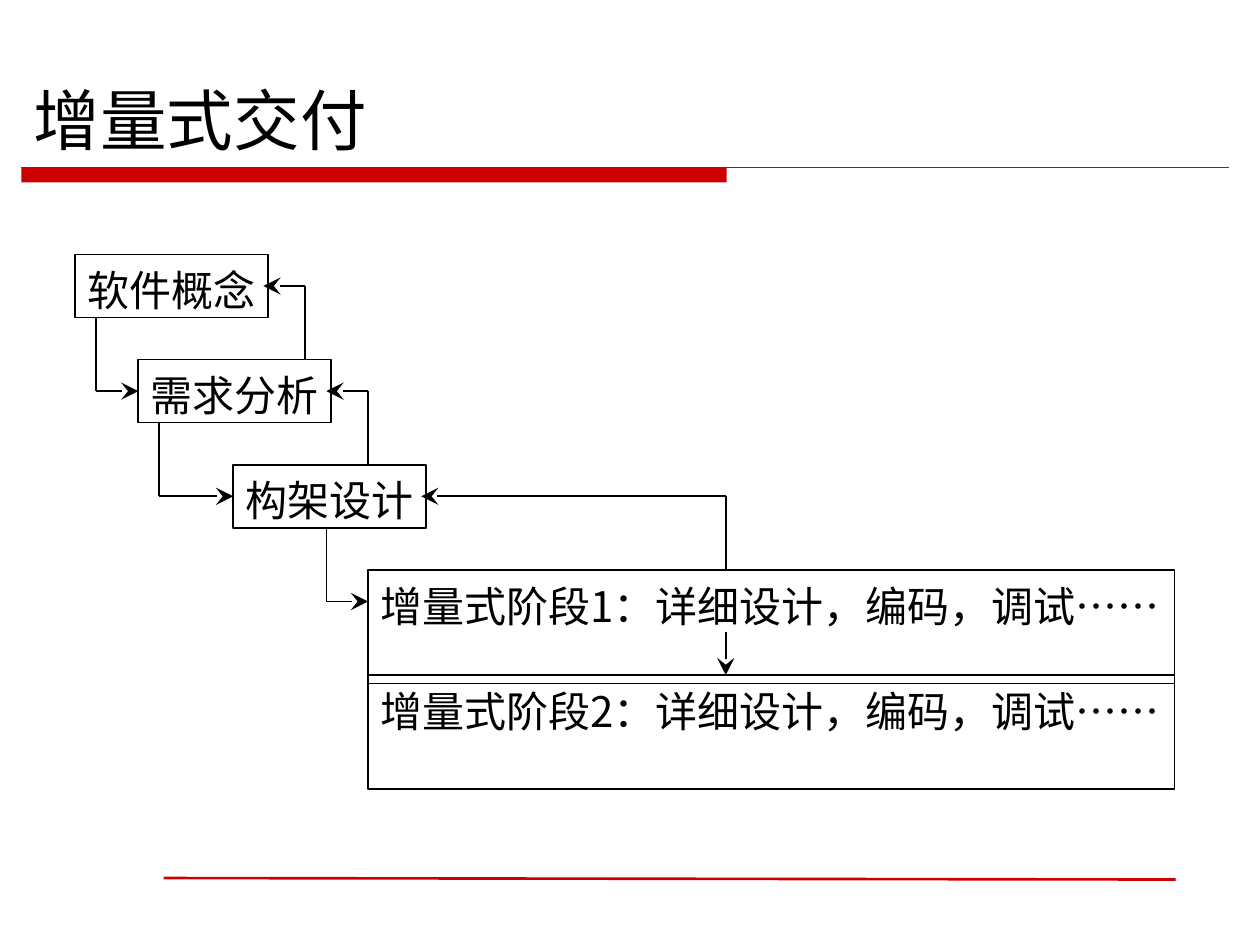
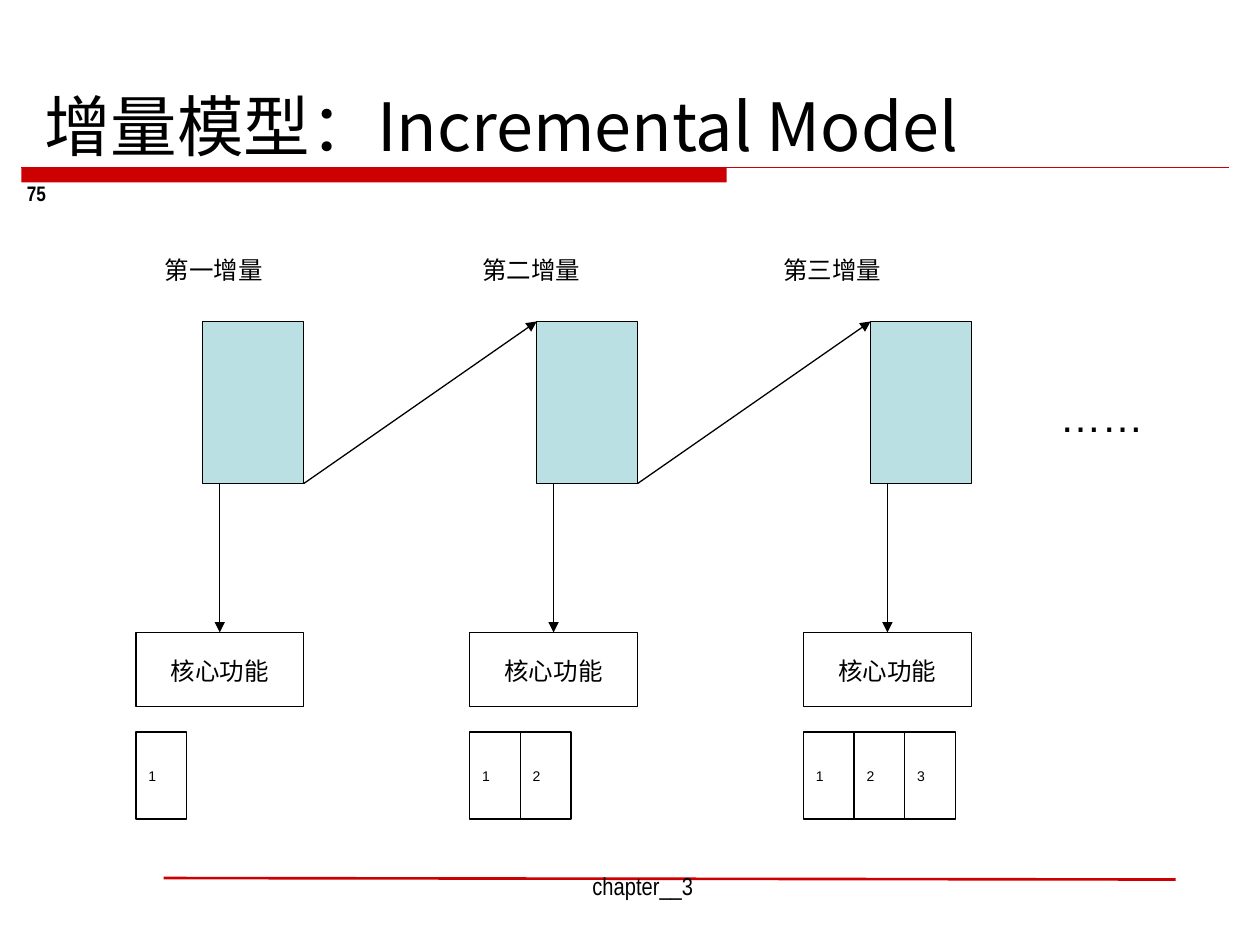
"""Builds two slides on incremental delivery and the incremental model."""
from itertools import pairwise

from lxml.etree import SubElement
from pptx import Presentation
from pptx.dml.color import RGBColor
from pptx.enum.shapes import MSO_CONNECTOR, MSO_SHAPE
from pptx.enum.text import MSO_ANCHOR, MSO_AUTO_SIZE, PP_ALIGN
from pptx.oxml.ns import qn
from pptx.util import Cm, Pt

COLOR = {"red": "CC0000", "ink": "000000", "aqua": "BBE0E3"}
PITCH = 1.3
LEFT, CENTER = PP_ALIGN.LEFT, PP_ALIGN.CENTER
TOP, MIDDLE = MSO_ANCHOR.TOP, MSO_ANCHOR.MIDDLE


def paint(name):
    """Returns the named colour."""
    return RGBColor.from_string(COLOR[name])


def write(shape, text, size, font, align=LEFT, anchor=TOP, bold=False, wrap=True):
    """Sets and formats the one paragraph of a shape."""
    frame = shape.text_frame
    frame.text = text
    frame.word_wrap = wrap
    frame.auto_size = MSO_AUTO_SIZE.NONE
    frame.vertical_anchor = anchor
    line = frame.paragraphs[0]
    line.alignment = align
    line.space_before = Pt(0)
    line.line_spacing = Pt(round(size * PITCH))
    for run in line.runs:
        run.font.size = Pt(size)
        run.font.name = font
        run.font.bold = bold
        run.font.color.rgb = paint("ink")


def add_box(slide, x, y, wide, high, fill=None, edge="ink", weight=0.75):
    """Adds a plain rectangle."""
    box = slide.shapes.add_shape(MSO_SHAPE.RECTANGLE, Cm(x), Cm(y), Cm(wide), Cm(high))
    box.shadow.inherit = False
    if fill:
        box.fill.solid()
        box.fill.fore_color.rgb = paint(fill)
    else:
        box.fill.background()
    if edge:
        box.line.color.rgb = paint(edge)
        box.line.width = Pt(weight)
    else:
        box.line.fill.background()
    return box


def add_label(slide, x, y, wide, high, *text, **style):
    """Adds a text box."""
    label = slide.shapes.add_textbox(Cm(x), Cm(y), Cm(wide), Cm(high))
    write(label, *text, **style)


def add_line(slide, start, end, color="ink", weight=0.75, head=None, size="med"):
    """Adds a straight line, with an arrowhead at its end if one is named."""
    line = slide.shapes.add_connector(
        MSO_CONNECTOR.STRAIGHT, *(Cm(value) for value in (*start, *end)))
    line.line.color.rgb = paint(color)
    line.line.width = Pt(weight)
    if head:
        SubElement(line.line._get_or_add_ln(), qn("a:tailEnd"), type=head, w=size, len=size)
    SubElement(line.element.spPr, qn("a:effectLst"))
    return line


def add_route(slide, *points):
    """Joins points with lines and ends in a large arrowhead."""
    for start, end in pairwise(points):
        head = "stealth" if end == points[-1] else None
        add_line(slide, start, end, weight=1, head=head, size="lg")


def add_slide(deck, text, font, place, anchor):
    """Adds a titled slide."""
    slide = deck.slides.add_slide(deck.slide_layouts[5])
    title = slide.shapes.title
    title.left, title.top, title.width, title.height = (Cm(value) for value in place)
    write(title, text, 38, font, anchor=anchor)
    return slide


def share_bands(slide):
    """Moves the red bands to the layout that the slides share."""
    layout = slide.slide_layout
    for holder in list(layout.placeholders)[1:]:
        layout.shapes.element.remove(holder.element)
    bands = (
        add_box(slide, 0.43, 3.38, 14.22, 0.3, "red", None),
        add_line(slide, (0.43, 3.38), (24.77, 3.38), "red"),
        add_line(slide, (3.3, 17.7), (23.7, 17.73), "red", 1.5),
    )
    for band in bands:
        layout.shapes.element.append(band.element)


def draw_steps(slide):
    """Draws the steps, the stages and the arrows that link them."""
    top, pitch, wide, high = 5.13, 2.12, 3.89, 1.27
    stage, trunk = 7.42, 14.63
    steps = ("软件概念", "需求分析", "构架设计")
    lefts = (1.52, 2.79, 4.7, stage)
    downs, ups = (1.93, 3.2, 6.58), (6.15, 7.42, trunk)
    for i, step in enumerate(steps):
        y = top + i * pitch
        box = add_box(slide, lefts[i], y, wide, high, weight=1)
        write(box, step, 24, "Times New Roman", wrap=False)
    for i in (1, 2):
        box = add_box(slide, stage, top + (i + 2) * pitch, 16.26, 2.29, weight=1)
        write(box, f"增量式阶段{i}：详细设计，编码，调试……", 24, "Noto Sans CJK SC")
    for i, (down, up) in enumerate(zip(downs, ups)):
        y = top + i * pitch
        middle, below = y + high / 2, y + pitch
        turn = below + high / 2
        add_route(slide, (down, y + high), (down, turn), (lefts[i + 1], turn))
        add_route(slide, (up, below), (up, middle), (lefts[i] + wide - 0.1, middle))
    add_route(slide, (trunk, 12.75), (trunk, top + 4 * pitch))


def draw_model(slide):
    """Draws three columns, each with one more part than the last."""
    first, pitch, shift = 2.74, 6.73, 1.35
    top, foot, core, wide, cell = 6.48, 9.75, 12.75, 3.38, 1.02
    labels = (("第一增量", 3.07), ("第二增量", 9.47), ("第三增量", 15.54))
    for i, (label, place) in enumerate(labels):
        x = first + i * pitch
        add_label(slide, place, 4.98, 4.04, 0.89, label, 14, "Arial")
        add_box(slide, x + shift, top, wide - shift, foot - top, "aqua")
        box = add_box(slide, x, core, wide, 1.5)
        write(box, "核心功能", 14, "Arial", CENTER, MIDDLE)
        for j in range(i + 1):
            part = add_box(slide, x + j * cell, 14.76, cell, 1.75)
            write(part, str(j + 1), 8, "Arial", anchor=MIDDLE)
        add_line(slide, (x + wide / 2, foot), (x + wide / 2, core), head="triangle")
        if i < len(labels) - 1:
            add_line(slide, (x + wide, foot), (x + pitch + shift, top), head="triangle")
    add_label(slide, 21.11, 7.67, 2.79, 1.32, "……", 24, "Arial")


def main():
    """Builds and saves the deck."""
    deck = Presentation()
    deck.slide_width, deck.slide_height = Cm(25.4), Cm(19.05)

    steps = add_slide(deck, "增量式交付", "DejaVu Sans", (0.43, 1.52, 24.33, 1.65), MIDDLE)
    share_bands(steps)
    draw_steps(steps)

    model = add_slide(deck, "增量模型：Incremental Model", "Noto Sans CJK SC",
                      (0.64, 1.47, 21.59, 3.18), TOP)
    add_label(model, 5.43, 17.32, 15.06, 1.02, "chapter__3", 14, "Arial Narrow",
              align=CENTER, anchor=MIDDLE)
    add_label(model, 0, 3.53, 1.47, 0.69, "75", 12, "Arial Narrow",
              align=CENTER, anchor=MIDDLE, bold=True)
    draw_model(model)
    deck.save("out.pptx")


if __name__ == "__main__":
    main()
